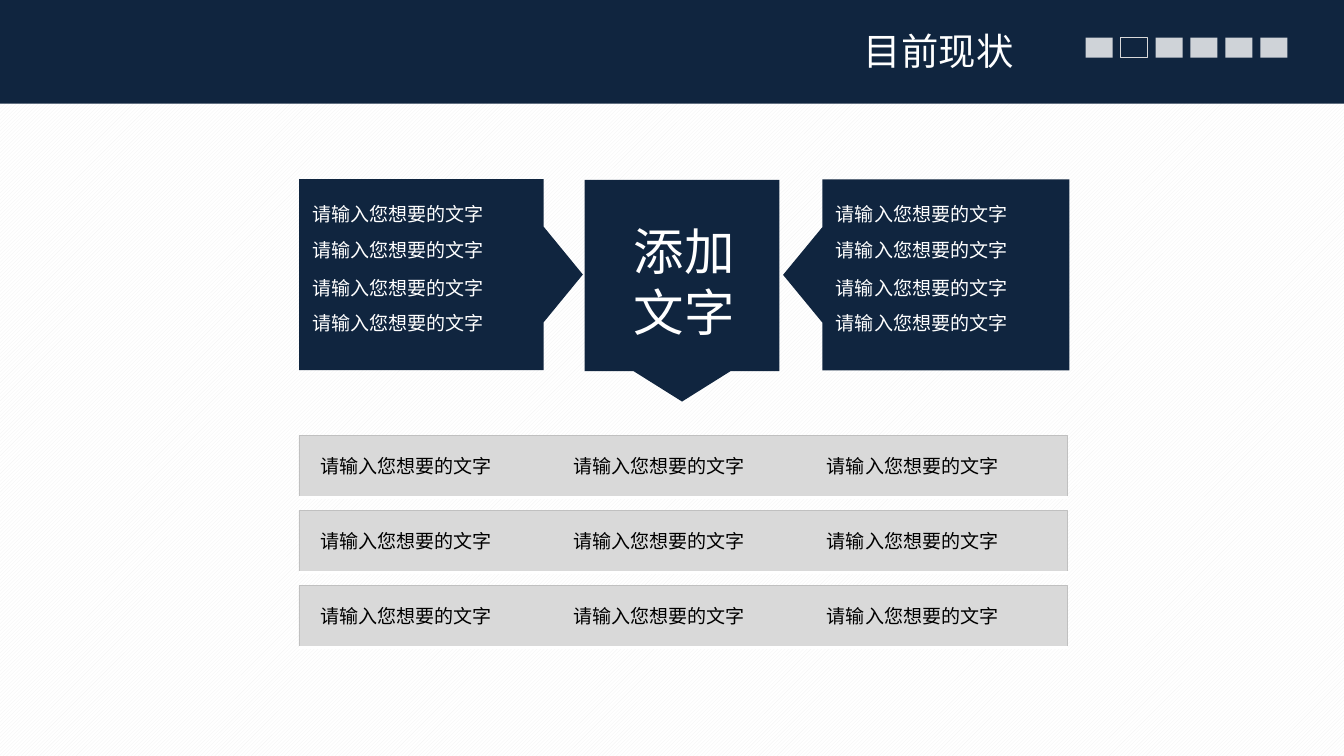
from lxml import etree
from pptx import Presentation
from pptx import util as u
from pptx.dml.color import RGBColor
from pptx.enum import dml, shapes, text
from pptx.oxml import ns

NAVY = RGBColor(0x10, 0x25, 0x3F)
WHITE = RGBColor(0xFF, 0xFF, 0xFF)
BLACK = RGBColor(0, 0, 0)
HATCH = RGBColor(0xF2, 0xF2, 0xF2)
GREY = RGBColor(0xD9, 0xD9, 0xD9)
EDGE = RGBColor(0xC0, 0xC0, 0xC0)
PROMPT = "请输入您想要的文字"


class StatusSlide:
    """Draws the parts of one slide in a shared style, measured in centimetres."""

    font = "Noto Sans CJK SC"
    body_size = 10.2

    def __init__(self, deck):
        self.slide = deck.slides.add_slide(deck.slide_layouts[5])
        self.shapes = self.slide.shapes

    def background(self):
        fill = self.slide.background.fill
        fill.patterned()
        fill.pattern = dml.MSO_PATTERN.LIGHT_UPWARD_DIAGONAL
        fill.fore_color.rgb = HATCH
        fill.back_color.rgb = WHITE

    def group(self):
        self.shapes = self.slide.shapes.add_group_shape().shapes

    def style(self, paragraph, size, color):
        font = paragraph.font
        font.size = u.Pt(size)
        font.color.rgb = color
        font.name = self.font
        east_asian = etree.SubElement(font._element, ns.qn("a:ea"))
        east_asian.set("typeface", self.font)

    def title(self, words, left, top, width, height):
        title = self.slide.shapes.title
        title.left, title.top = u.Cm(left), u.Cm(top)
        title.width, title.height = u.Cm(width), u.Cm(height)
        title.text_frame.text = words
        title.text_frame.vertical_anchor = text.MSO_ANCHOR.MIDDLE
        heading = title.text_frame.paragraphs[0]
        heading.alignment = text.PP_ALIGN.RIGHT
        self.style(heading, 20, WHITE)
        self.slide.shapes._spTree.append(title._element)

    def block(self, left, top, width, height, fill=None, line=None, weight=0.25,
              kind=shapes.MSO_SHAPE.RECTANGLE, opacity=None):
        block = self.shapes.add_shape(kind, u.Cm(left), u.Cm(top), u.Cm(width), u.Cm(height))
        block.shadow.inherit = False
        if fill is None:
            block.fill.background()
        else:
            block.fill.solid()
            block.fill.fore_color.rgb = fill
        if line is None:
            block.line.fill.background()
        else:
            block.line.color.rgb = line
            block.line.width = u.Pt(weight)
        if opacity is not None:
            tint = block._element.spPr.find(".//" + ns.qn("a:srgbClr"))
            etree.SubElement(tint, ns.qn("a:alpha")).set("val", str(opacity * 1000))
        return block

    def callout(self, left, top, width, height, rotation, head):
        callout = self.block(left, top, width, height, NAVY,
                             kind=shapes.MSO_SHAPE.UP_ARROW_CALLOUT)
        callout.rotation = rotation
        for index, value in enumerate((0.338, 0.25, head, 0.863)):
            callout.adjustments[index] = value

    def label(self, words, left, top, color, size=body_size, height=0.69):
        label = self.shapes.add_textbox(u.Cm(left), u.Cm(top), u.Cm(5.23), u.Cm(height))
        label.text_frame.word_wrap = True
        label.text_frame.auto_size = text.MSO_AUTO_SIZE.SHAPE_TO_FIT_TEXT
        label.text_frame.text = words
        for paragraph in label.text_frame.paragraphs:
            self.style(paragraph, size, color)

    def rule(self, left, top, width):
        rule = self.shapes.add_connector(shapes.MSO_CONNECTOR.STRAIGHT, u.Cm(left), u.Cm(top),
                                         u.Cm(left + width), u.Cm(top))
        rule.line.color.rgb = WHITE
        rule.line.width = u.Pt(1.5)
        etree.SubElement(rule._element.spPr, ns.qn("a:effectLst"))


def main():
    deck = Presentation()
    deck.slide_width, deck.slide_height = u.Cm(25.4), u.Cm(14.29)
    page = StatusSlide(deck)
    page.background()

    page.block(0, 0, 25.4, 1.96, NAVY)
    current_section = 1
    for section in range(6):
        marker = (20.52 + 0.66 * section, 0.71, 0.51, 0.38)
        if section == current_section:
            page.block(*marker, line=GREY, weight=0.5)
        else:
            page.block(*marker, fill=WHITE, opacity=80)

    side_panels = (
        ((6.53, 2.51, 3.61, 5.36, 90, 0.205), 5.65),
        ((15.7, 2.49, 3.61, 5.41, 270, 0.206), 15.55),
    )
    for callout, text_left in side_panels:
        page.group()
        page.callout(*callout)
        for top in (3.71, 4.39, 5.11, 5.77):
            page.label(PROMPT, text_left, top, WHITE)

    page.group()
    page.callout(11.05, 3.4, 3.68, 4.19, 180, 0.157)
    page.label("添加\n文字", 11.73, 4.04, WHITE, size=27, height=2.57)

    bar_left, bar_width, bar_height = 5.65, 14.53, 1.17
    for row in range(3):
        top = 8.23 + 1.42 * row
        page.group()
        page.block(bar_left, top, bar_width, bar_height, GREY, EDGE)
        page.rule(bar_left, top + bar_height, bar_width)
        for column in range(3):
            page.label(PROMPT, 5.8 + 4.79 * column, top + 0.23, BLACK)

    page.title("目前现状", 9.02, 0.33, 10.39, 1.27)
    deck.save("out.pptx")


if __name__ == "__main__":
    main()
